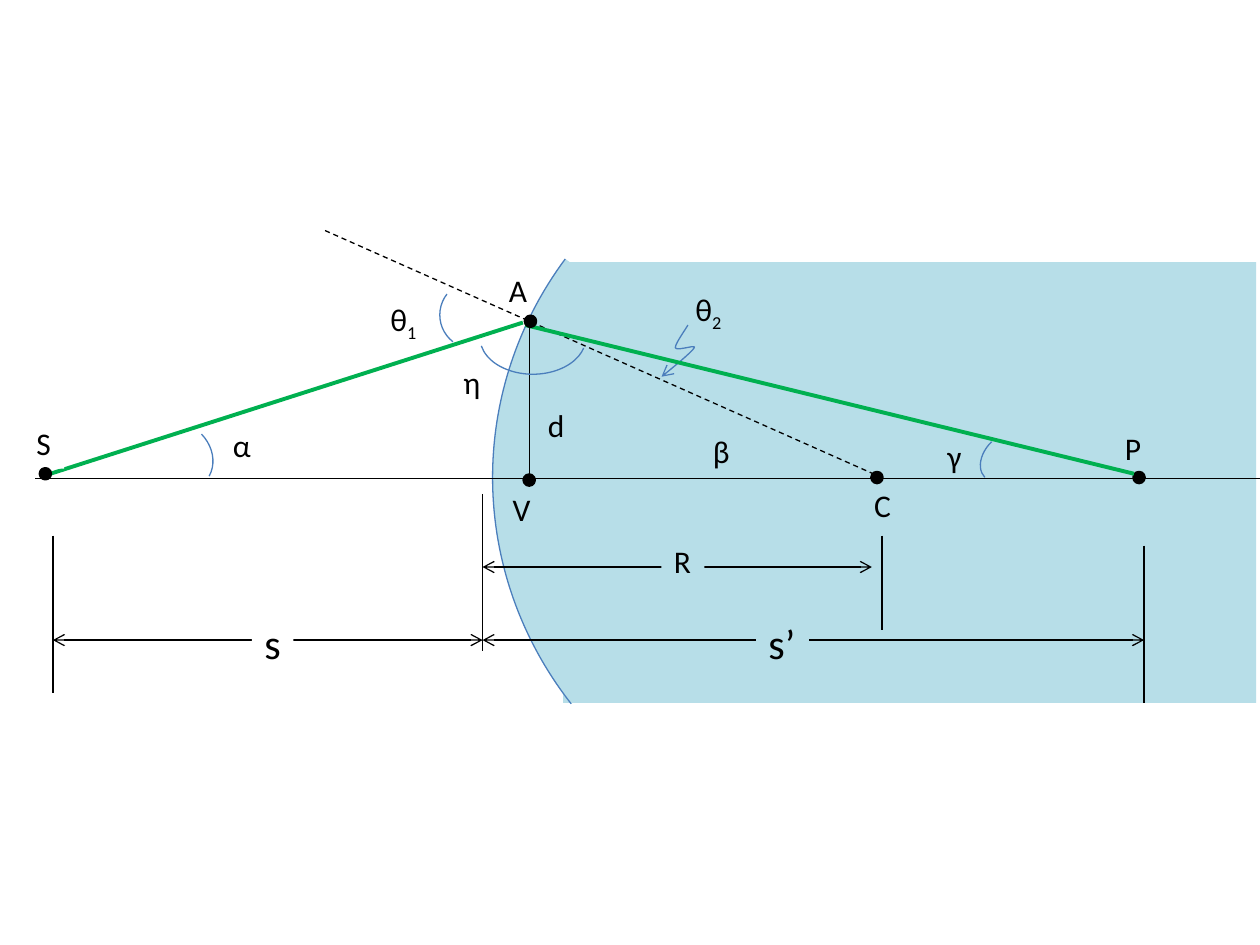
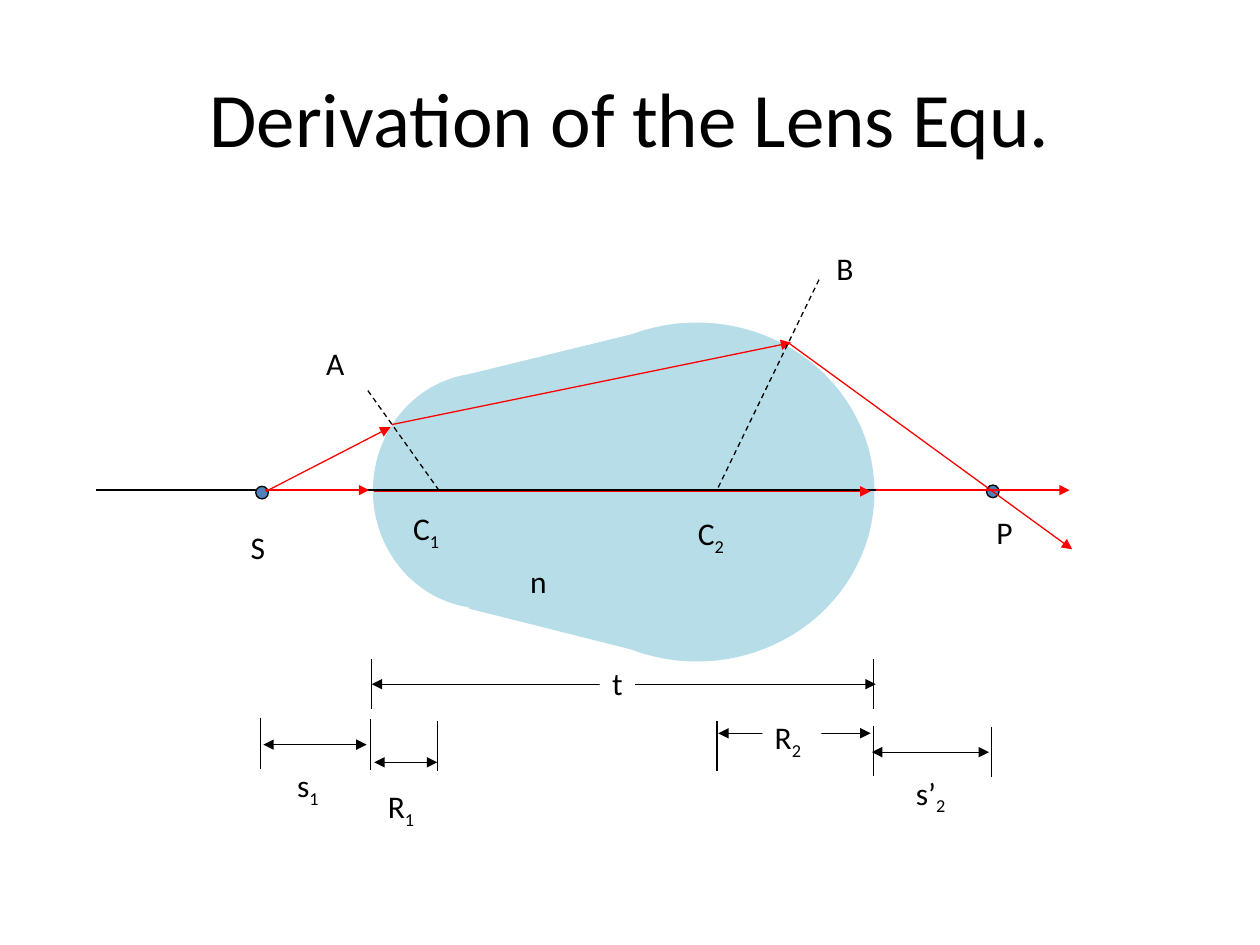
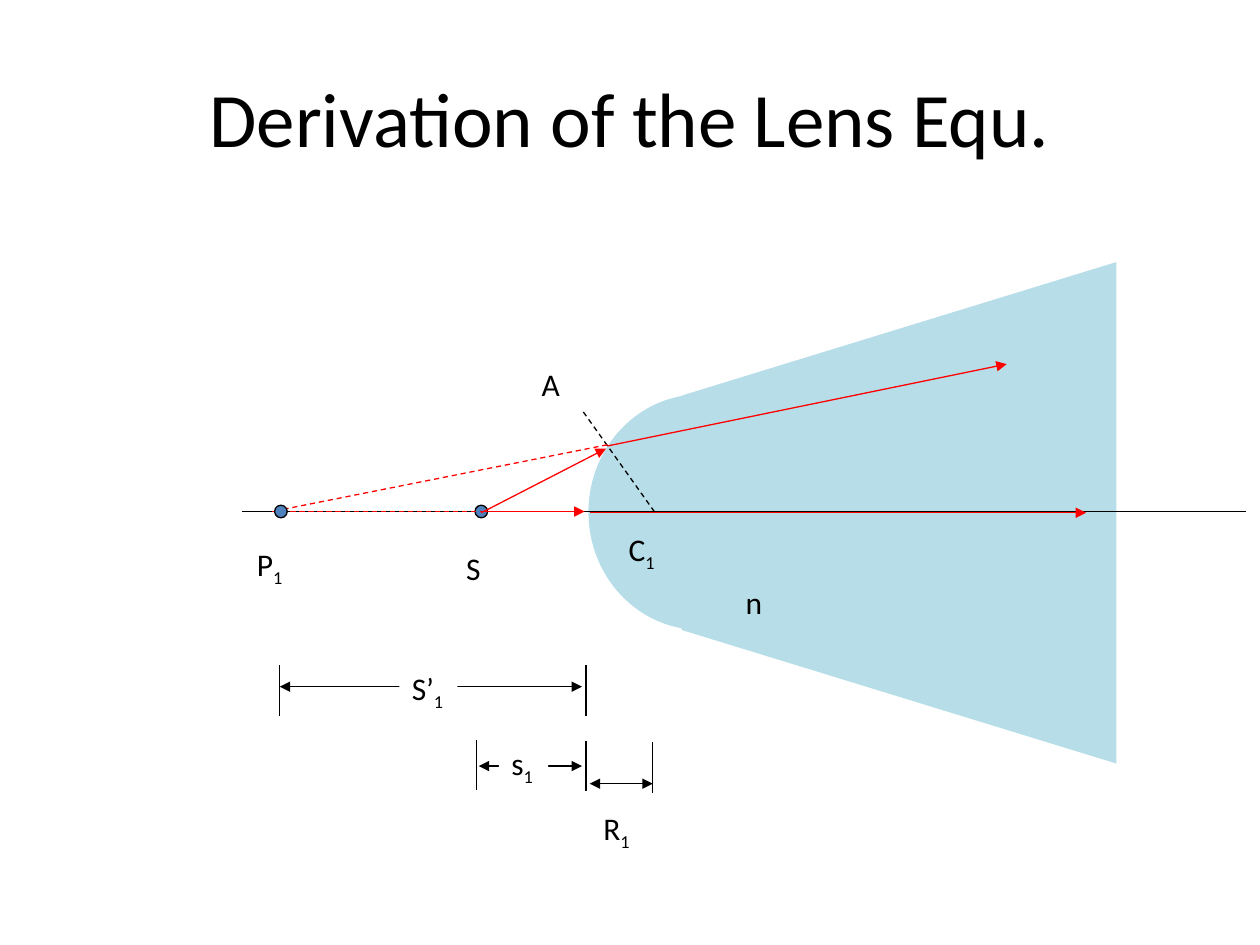
from pptx import Presentation
from pptx.dml.color import RGBColor
from pptx.enum.dml import MSO_LINE
from pptx.enum.shapes import MSO_CONNECTOR, MSO_SHAPE
from pptx.enum.text import MSO_ANCHOR, MSO_AUTO_SIZE, PP_ALIGN
from pptx.oxml.ns import qn
from pptx.util import Inches, Pt
from lxml.etree import SubElement

FONT = "Calibri"
INK, PAPER, GLASS = "000000", "FFFFFF", "B7DEE8"
RAY, GREEN_RAY, ANGLE, POINT = "FF0000", "00B050", "4B7EBC", "4F81BD"
SLIDE_WIDTH, SLIDE_HEIGHT = Inches(10), Inches(7.5)
COLUMNS, ROWS = 10, 7.5
THIN = 0.75


def col(count):
    """Return the length of a number of grid columns."""
    return round(SLIDE_WIDTH * count / COLUMNS)


def row(count):
    """Return the length of a number of grid rows."""
    return round(SLIDE_HEIGHT * count / ROWS)


def frame(left, top, width, height):
    """Turn a grid cell range into slide lengths."""
    return col(left), row(top), col(width), row(height)


def color(hex_code):
    """Turn a hex string into a colour."""
    return RGBColor.from_string(hex_code)


def paint(shape, fill=None, outline=None, weight=THIN):
    """Set the fill and outline of a shape and remove its shadow."""
    shape.shadow.inherit = False
    if fill:
        shape.fill.solid()
        shape.fill.fore_color.rgb = color(fill)
    else:
        shape.fill.background()
    if outline:
        shape.line.color.rgb = color(outline)
        shape.line.width = Pt(weight)
    else:
        shape.line.fill.background()


def add_arrowheads(shape, head=None, tail=None):
    """Put arrowheads on the start and end of a line."""
    outline = shape.line._get_or_add_ln()
    for tag, kind in (("a:headEnd", head), ("a:tailEnd", tail)):
        if kind:
            SubElement(outline, qn(tag)).set("type", kind)


def add_line(slide, start, end, ink=INK, weight=THIN, dashed=False, head=None, tail=None):
    """Draw a straight line between two grid points."""
    line = slide.shapes.add_connector(
        MSO_CONNECTOR.STRAIGHT, col(start[0]), row(start[1]), col(end[0]), row(end[1]))
    line.line.color.rgb = color(ink)
    line.line.width = Pt(weight)
    if dashed:
        line.line.dash_style = MSO_LINE.DASH
    add_arrowheads(line, head, tail)
    SubElement(line._element.spPr, qn("a:effectLst"))


def add_ray(slide, start, end):
    """Draw a red light ray with an arrowhead."""
    add_line(slide, start, end, RAY, tail="triangle")


def add_dimension(slide, left, right, level, ends="triangle"):
    """Draw a horizontal double arrow."""
    add_line(slide, (left, level), (right, level), head=ends, tail=ends)


def add_ticks(slide, ticks, height=0.4):
    """Draw vertical limit marks from their left and top."""
    for x, top in ticks:
        add_line(slide, (x, top), (x, top + height))


def add_label(slide, text, left, top, width=0.35, fill=None, size=18, wrap=False):
    """Write a symbol, with the part after an underscore as subscript."""
    box = slide.shapes.add_textbox(*frame(left, top, width, 0.4 * size / 18))
    if fill:
        paint(box, fill)
    box.text_frame.word_wrap = wrap
    box.text_frame.auto_size = MSO_AUTO_SIZE.SHAPE_TO_FIT_TEXT
    paragraph = box.text_frame.paragraphs[0]
    paragraph.font.name = FONT
    paragraph.font.size = Pt(size)
    paragraph.font.color.rgb = color(INK)
    base, _, subscript = text.partition("_")
    paragraph.add_run().text = base
    if subscript:
        lowered = paragraph.add_run()
        lowered.text = subscript
        lowered._r.get_or_add_rPr().set("baseline", "-25000")


def add_ellipse(parent, place, fill, outline=None, weight=THIN):
    """Draw an ellipse on a slide or in a group."""
    ellipse = parent.shapes.add_shape(MSO_SHAPE.OVAL, *frame(*place))
    paint(ellipse, fill, outline, weight)


def add_point(slide, left, top):
    """Mark a source or image point on the axis."""
    add_ellipse(slide, (left, top, 0.1, 0.1), POINT, INK)


def add_arc(slide, place, sweep=None, fill=None, rotation=0, flip=None):
    """Draw an arc, optionally turned or mirrored."""
    arc = slide.shapes.add_shape(MSO_SHAPE.ARC, *frame(*place))
    paint(arc, fill, ANGLE)
    for index, value in enumerate(sweep or ()):
        arc.adjustments[index] = value
    arc.rotation = rotation
    if flip:
        arc._element.spPr.xfrm.set(flip, "1")


def add_outline(parent, points, closed=True):
    """Build a freeform through grid points."""
    corners = [(col(x), row(y)) for x, y in points]
    builder = parent.shapes.build_freeform(*corners[0])
    builder.add_line_segments(corners[1:], close=closed)
    return builder.convert_to_shape()


def curve_points(start, segments, steps=10):
    """List points along a chain of cubic curves."""
    points = [start]
    for first, second, end in segments:
        begin = points[-1]
        for step in range(1, steps + 1):
            t = step / steps
            weights = ((1 - t) ** 3, 3 * t * (1 - t) ** 2, 3 * t * t * (1 - t), t ** 3)
            points.append(tuple(
                sum(w * p[axis] for w, p in zip(weights, (begin, first, second, end)))
                for axis in (0, 1)))
    return points


def add_titled_slide(deck):
    """Add a slide with the shared title."""
    slide = deck.slides.add_slide(deck.slide_layouts[5])
    title = slide.shapes.title
    title.left, title.top, title.width, title.height = frame(0.5, 0.3, 9, 1.25)
    title.text_frame.text = "Derivation of the Lens Equ."
    title.text_frame.vertical_anchor = MSO_ANCHOR.MIDDLE
    paragraph = title.text_frame.paragraphs[0]
    paragraph.alignment = PP_ALIGN.CENTER
    paragraph.font.name = FONT
    paragraph.font.size = Pt(44)
    paragraph.font.color.rgb = color(INK)
    return slide


def add_first_surface(slide, dx=0, dy=0):
    """Draw the rays and measures of the first lens surface."""
    def at(x, y):
        return x + dx, y + dy

    add_label(slide, "S", *at(1.89, 4.14), 0.32)
    for start, end in (((2.1, 3.89), (2.93, 3.89)), ((2.97, 3.9), (6.91, 3.9)),
                       ((2.11, 3.9), (3.1, 3.39)), ((3.11, 3.37), (6.28, 2.72))):
        add_ray(slide, at(*start), at(*end))
    add_line(slide, at(2.92, 3.1), at(3.49, 3.9), dashed=True)
    add_label(slide, "A", *at(2.49, 2.68), 0.38, wrap=True)
    add_label(slide, "C_1", *at(3.18, 3.99), 0.47, wrap=True)
    add_label(slide, "n", *at(4.11, 4.41))
    add_ticks(slide, [at(2.07, 5.7), at(2.94, 5.71), at(3.47, 5.72)])
    add_dimension(slide, 2.09 + dx, 2.91 + dx, 5.91 + dy)
    add_dimension(slide, 2.97 + dx, 3.47 + dx, 6.05 + dy)
    add_label(slide, "R_1", *at(2.98, 6.2), 0.47, PAPER)


def draw_refraction(deck):
    """Draw refraction at a single spherical surface."""
    slide = deck.slides.add_slide(deck.slide_layouts[6])
    add_label(slide, "A", 3.94, 2.1, fill=PAPER)
    glass = slide.shapes.add_shape(MSO_SHAPE.RECTANGLE, *frame(4.47, 2.08, 5.5, 3.5))
    paint(glass, GLASS)
    add_arc(slide, (3.91, 0.83, 6.08, 5.92), (194.91, 21.97), GLASS, flip="flipH")

    for left, right, level in ((0.42, 3.83, 5.08), (3.83, 6.92, 4.5), (3.83, 9.08, 5.08)):
        add_dimension(slide, left, right, level, "arrow")
    add_ticks(slide, [(0.42, 4.25), (3.83, 3.92), (9.08, 4.33), (4.2, 2.58)], 1.25)
    add_ticks(slide, [(7, 4.25)], 0.75)
    add_label(slide, "s’", 6, 4.85, 0.42, GLASS, 24)
    add_label(slide, "s", 2, 4.85, 0.33, PAPER, 24)
    add_label(slide, "R", 5.25, 4.25, 0.34, GLASS)

    add_line(slide, (0.4, 3.76), (4.15, 2.56), GREEN_RAY, 2.25)
    add_label(slide, "θ_1", 3, 2.33, 0.42, PAPER)
    add_label(slide, "d", 4.25, 3.17, 0.34, GLASS)
    add_line(slide, (2.58, 1.83), (6.93, 3.76), dashed=True)
    add_arc(slide, (1.17, 3.33, 0.5, 0.58), (169.37, 0), rotation=315.8, flip="flipV")
    add_label(slide, "η", 3.58, 2.83, 0.36)
    add_label(slide, "θ_2", 5.42, 2.25, 0.42, GLASS)
    pointer = add_outline(slide, curve_points((5.46, 2.58), (
        ((5.41, 2.66), (5.36, 2.73), (5.36, 2.76)),
        ((5.37, 2.79), (5.53, 2.73), (5.51, 2.76)),
        ((5.49, 2.8), (5.25, 2.99), (5.25, 2.99)))), closed=False)
    paint(pointer, outline=ANGLE)
    add_arrowheads(pointer, tail="arrow")
    add_label(slide, "β", 5.56, 3.38, 0.34, GLASS)
    add_label(slide, "γ", 7.42, 3.42, 0.31, GLASS)
    add_arc(slide, (3.81, 2.39, 0.84, 0.58), (6.91, 102.59))
    add_label(slide, "α", 1.75, 3.33, 0.36)
    add_arc(slide, (3.49, 2.23, 0.54, 0.54), rotation=127.8, flip="flipV")
    add_arc(slide, (7.75, 3.46, 0.47, 0.33), rotation=315.8, flip="flipH")
    add_label(slide, "S", 0.19, 3.32, 0.32, PAPER)
    add_label(slide, "P", 8.83, 3.36, 0.33, GLASS)
    add_label(slide, "C", 6.84, 3.81, 0.34, GLASS)
    dots = [(0.32, 3.72), (9, 3.75), (6.92, 3.75), (4.16, 3.77), (4.17, 2.51)]
    for left, top in dots[:2]:
        add_ellipse(slide, (left, top, 0.08, 0.08), INK, INK, 2)
    add_line(slide, (0.28, 3.8), (10, 3.8))
    add_line(slide, (9, 3.76), (4.17, 2.58), GREEN_RAY, 2.25)
    add_label(slide, "V", 3.97, 3.84, fill=GLASS)
    for left, top in dots[2:]:
        add_ellipse(slide, (left, top, 0.08, 0.08), INK, INK, 2)


def draw_thick_lens(deck):
    """Draw the path through both surfaces of a thick lens."""
    slide = add_titled_slide(deck)
    lens = slide.shapes.add_group_shape()
    add_ellipse(lens, (2.96, 2.96, 1.78, 1.87), GLASS)
    add_ellipse(lens, (4.12, 2.56, 2.82, 2.69), GLASS)
    paint(add_outline(lens, [(5.31, 2.58), (3.72, 2.97), (3.72, 4.83), (5.31, 5.23)]), GLASS)
    add_line(slide, (0.76, 3.89), (8.17, 3.89))
    add_point(slide, 2.03, 3.86)
    add_point(slide, 7.83, 3.85)
    add_first_surface(slide)
    add_label(slide, "s_1", 2.26, 6.03, 0.39, PAPER)

    add_label(slide, "P", 7.81, 4.02, 0.33)
    add_ray(slide, (6.95, 3.89), (8.49, 3.89))
    add_line(slide, (6.5, 2.22), (5.69, 3.89), dashed=True)
    add_ray(slide, (6.27, 2.73), (8.51, 4.36))
    add_label(slide, "C_2", 5.44, 4.03, 0.47, wrap=True)
    add_label(slide, "B", 6.54, 1.93, 0.38, wrap=True)
    add_ticks(slide, [(2.95, 5.23), (6.93, 5.23), (6.93, 5.76), (7.87, 5.77), (5.69, 5.72)])
    for left, right, level in ((2.95, 6.95, 5.43), (6.92, 7.85, 5.97), (5.7, 6.91, 5.82)):
        add_dimension(slide, left, right, level)
    add_label(slide, "t", 4.76, 5.22, 0.28, PAPER)
    add_label(slide, "s’_2", 7.17, 6.09, 0.45, PAPER)
    add_label(slide, "R_2", 6.05, 5.65, 0.47, PAPER)


def draw_virtual_image(deck):
    """Draw the virtual image made by the first surface."""
    slide = add_titled_slide(deck)
    add_ellipse(slide, (4.67, 3.13, 1.78, 1.87), GLASS)
    paint(add_outline(slide, [(8.86, 2.08), (5.41, 3.14), (5.41, 5), (8.86, 6.06)]), GLASS)
    add_line(slide, (1.92, 4.06), (9.89, 4.06))
    add_point(slide, 3.77, 4.01)
    add_first_surface(slide, 1.71, 0.17)

    for end in ((4.82, 3.53), (3.85, 4.06)):
        add_line(slide, end, (2.16, 4.06), RAY, dashed=True)
    add_label(slide, "P_1", 1.94, 4.28, 0.42)
    add_point(slide, 2.18, 4.01)
    add_ticks(slide, [(2.22, 5.28), (4.65, 5.28)])
    add_dimension(slide, 2.22, 4.62, 5.45)
    add_label(slide, "S’_1", 3.17, 5.26, 0.46, PAPER)
    add_label(slide, "s_1", 3.96, 5.86, 0.39, PAPER)


def main():
    """Build and save the three slides."""
    deck = Presentation()
    deck.slide_width, deck.slide_height = SLIDE_WIDTH, SLIDE_HEIGHT
    draw_refraction(deck)
    draw_thick_lens(deck)
    draw_virtual_image(deck)
    deck.save("out.pptx")


if __name__ == "__main__":
    main()
